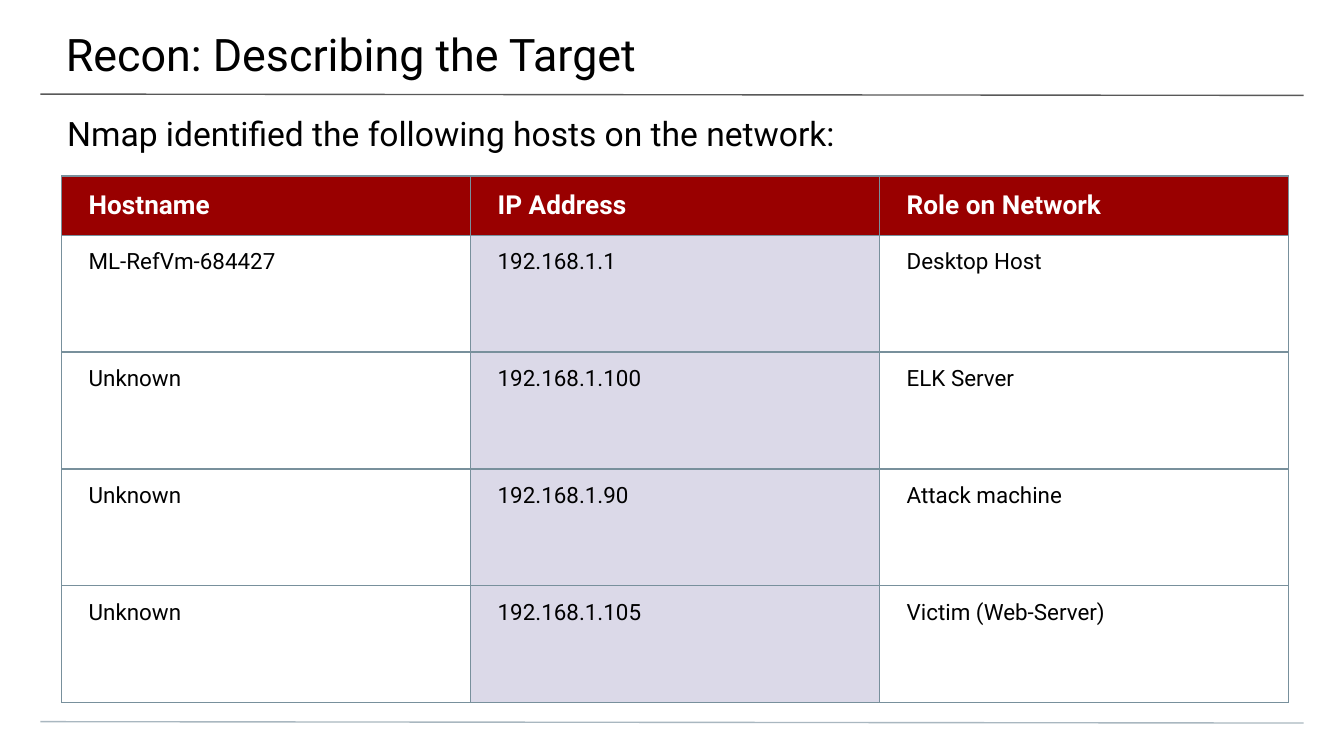
"""Builds the slide that lists the hosts found during network reconnaissance."""
from typing import NamedTuple

from lxml import etree
from pptx import Presentation
from pptx.dml.color import RGBColor
from pptx.enum import shapes, text
from pptx.oxml import ns
from pptx.util import Inches, Pt

FONT = "Roboto"
BLACK = RGBColor(0x00, 0x00, 0x00)
WHITE = RGBColor(0xFF, 0xFF, 0xFF)
RED = RGBColor(0x99, 0x00, 0x00)
LAVENDER = RGBColor(0xDB, 0xD9, 0xE8)
DARK_GRAY = RGBColor(0x59, 0x59, 0x59)
PALE_BLUE = RGBColor(0xA9, 0xB7, 0xC0)
BORDER = RGBColor(0x78, 0x90, 0x9C)


class Rule(NamedTuple):
    y: float
    color: RGBColor


class Heading(NamedTuple):
    text: str
    left: float
    top: float
    width: float
    height: float
    insets: tuple[float, float, float, float]
    size: int


class Host(NamedTuple):
    hostname: str
    ip_address: str
    role: str


RULES = [Rule(0.7, DARK_GRAY), Rule(5.37, PALE_BLUE)]
HEADINGS = [
    Heading("Recon: Describing the Target", -0.01, 0, 10.03, 0.58, (0.5, 0.2, 0.3, 0.1), 24),
    Heading("Nmap identified the following hosts on the network:",
            0, 0.74, 10, 0.4, (0.5, 0.1, 0.5, 0), 18),
]
HEADER = Host("Hostname", "IP Address", "Role on Network")
HOSTS = [
    Host("ML-RefVm-684427", "192.168.1.1", "Desktop Host"),
    Host("Unknown", "192.168.1.100", "ELK Server"),
    Host("Unknown", "192.168.1.90", "Attack machine"),
    Host("Unknown", "192.168.1.105", "Victim (Web-Server)"),
]


def style_text(tf, size: int, color: RGBColor, bold: bool = False) -> None:
    for p in tf.paragraphs:
        for r in p.runs:
            r.font.name = FONT
            r.font.size = Pt(size)
            r.font.bold = bold
            r.font.color.rgb = color


def add_rule(s, rule: Rule) -> None:
    line = s.shapes.add_connector(
        shapes.MSO_CONNECTOR.STRAIGHT,
        Inches(0.3), Inches(rule.y), Inches(9.7), Inches(rule.y + 0.01))
    line.line.color.rgb = rule.color
    line.line.width = Pt(0.75)
    etree.SubElement(line._element.spPr, ns.qn("a:effectLst"))


def add_heading(s, heading: Heading) -> None:
    sp = s.shapes.add_textbox(Inches(heading.left), Inches(heading.top),
                              Inches(heading.width), Inches(heading.height))
    tf = sp.text_frame
    tf.word_wrap = True
    tf.vertical_anchor = text.MSO_ANCHOR.TOP
    tf.margin_left, tf.margin_top, tf.margin_right, tf.margin_bottom = map(Inches, heading.insets)
    tf.text = heading.text
    style_text(tf, heading.size, BLACK)


def add_borders(cell) -> None:
    tc_pr = cell._tc.get_or_add_tcPr()
    for i, side in enumerate(("lnL", "lnR", "lnT", "lnB")):
        ln = etree.Element(ns.qn(f"a:{side}"), w=str(Pt(0.75)))
        fill = etree.SubElement(ln, ns.qn("a:solidFill"))
        etree.SubElement(fill, ns.qn("a:srgbClr"), val=str(BORDER))
        tc_pr.insert(i, ln)


def fill_cell(cell, value: str, is_header: bool, background: RGBColor | None) -> None:
    cell.margin_left = cell.margin_right = Inches(0.2)
    cell.margin_top = cell.margin_bottom = Inches(0.1)
    cell.vertical_anchor = text.MSO_ANCHOR.MIDDLE if is_header else text.MSO_ANCHOR.TOP
    cell.text_frame.text = value
    if is_header:
        style_text(cell.text_frame, 14, WHITE, bold=True)
    else:
        style_text(cell.text_frame, 12, BLACK)
    if background is None:
        cell.fill.background()
    else:
        cell.fill.solid()
        cell.fill.fore_color.rgb = background
    add_borders(cell)


def add_host_table(s, header: Host, hosts: list[Host]) -> None:
    rows = [header, *hosts]
    table = s.shapes.add_table(len(rows), len(header), Inches(0.46), Inches(1.31),
                               Inches(9.13), Inches(3.91)).table
    table.first_row = table.horz_banding = False
    for i, host in enumerate(rows):
        is_header = i == 0
        table.rows[i].height = Inches(0.44 if is_header else 0.87)
        for j, value in enumerate(host):
            body_fill = LAVENDER if j == 1 else None
            fill_cell(table.cell(i, j), value, is_header, RED if is_header else body_fill)


def main() -> None:
    prs = Presentation()
    prs.slide_width = Inches(10)
    prs.slide_height = prs.slide_width * 9 // 16
    s = prs.slides.add_slide(prs.slide_layouts[6])
    for rule in RULES:
        add_rule(s, rule)
    for heading in HEADINGS:
        add_heading(s, heading)
    add_host_table(s, HEADER, HOSTS)
    prs.save("out.pptx")


if __name__ == "__main__":
    main()
